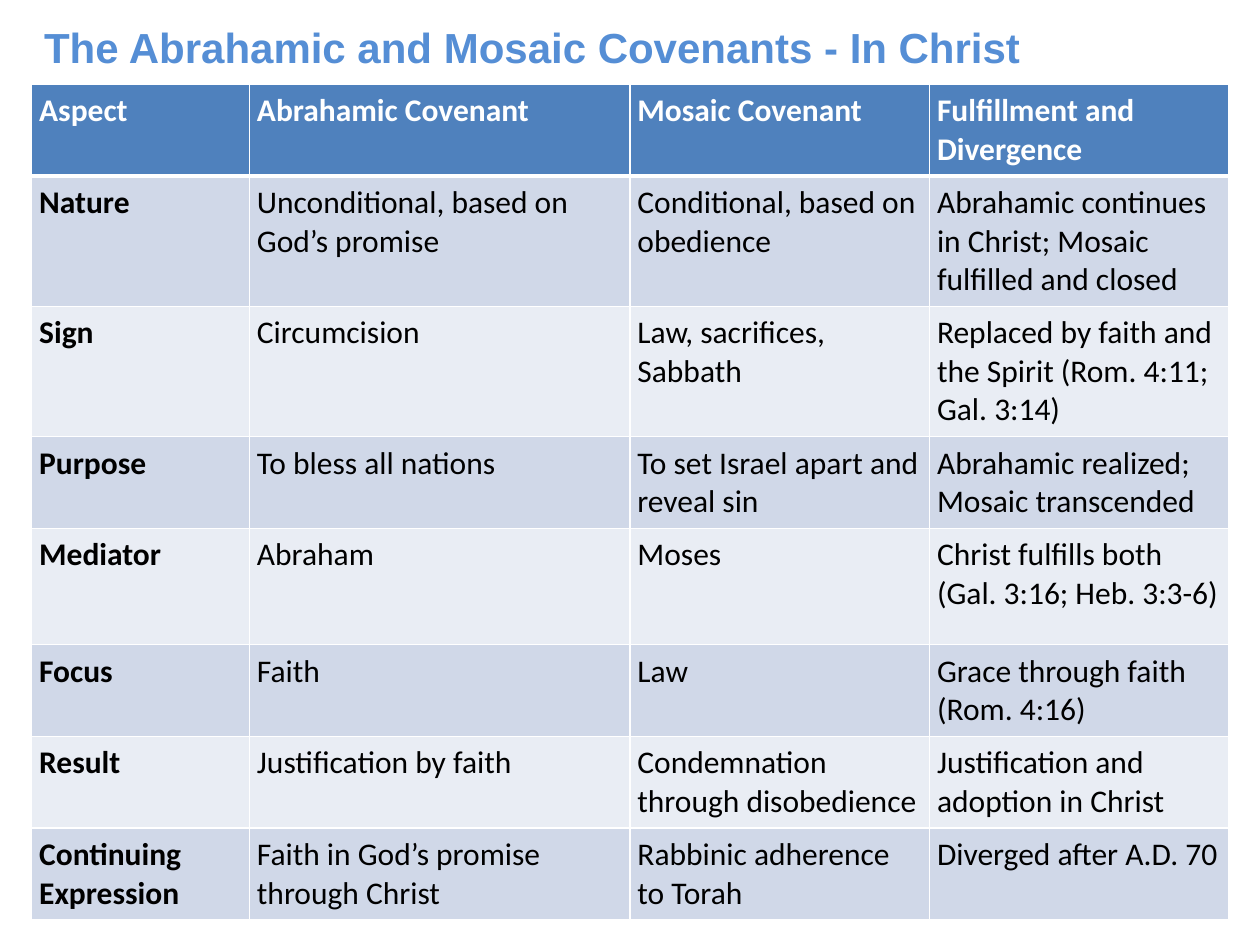
from lxml.etree import SubElement
from pptx import Presentation
from pptx.dml.color import RGBColor
from pptx.enum.text import MSO_ANCHOR as Anchor
from pptx.oxml.ns import qn
from pptx.util import Cm, Pt

TITLE = "The Abrahamic and Mosaic Covenants - In Christ"
ROWS = [
    ("Aspect", "Abrahamic Covenant", "Mosaic Covenant", "Fulfillment and Divergence"),
    ("Nature", "Unconditional, based on God’s promise", "Conditional, based on obedience",
     "Abrahamic continues in Christ; Mosaic fulfilled and closed"),
    ("Sign", "Circumcision", "Law, sacrifices, Sabbath",
     "Replaced by faith and the Spirit (Rom. 4:11; Gal. 3:14)"),
    ("Purpose", "To bless all nations", "To set Israel apart and reveal sin",
     "Abrahamic realized; Mosaic transcended"),
    ("Mediator", "Abraham", "Moses", "Christ fulfills both (Gal. 3:16; Heb. 3:3-6)"),
    ("Focus", "Faith", "Law", "Grace through faith (Rom. 4:16)"),
    ("Result", "Justification by faith", "Condemnation through disobedience",
     "Justification and adoption in Christ"),
    ("Continuing Expression", "Faith in God’s promise through Christ",
     "Rabbinic adherence to Torah", "Diverged after A.D. 70"),
]
COL_WIDTHS = [4.39, 7.67, 6.04, 6.04]
ROW_HEIGHTS = [1.65, 2.34, 2.34, 1.65, 2.34, 1.65, 1.7, 1.65]


def rgb(code):
    return RGBColor.from_string(code)


def put_text(tf, text, font="Calibri", size=18, color="000000", bold=False):
    r = tf.paragraphs[0].add_run()
    r.text = text
    r.font.name, r.font.size, r.font.bold = font, Pt(size), bold
    r.font.color.rgb = rgb(color)


def set_borders(cell, color, bottom):
    """Draw 1 pt borders, with the bottom one as wide as given."""
    tc_pr = cell._tc.get_or_add_tcPr()
    for i, (side, width) in enumerate(zip("LRTB", (1, 1, 1, bottom))):
        ln = SubElement(tc_pr, qn(f"a:ln{side}"), w=str(Pt(width)))
        fill = SubElement(ln, qn("a:solidFill"))
        SubElement(fill, qn("a:srgbClr"), val=color)
        tc_pr.insert(i, ln)  # borders come before the cell fill


class CovenantSlide:
    header = "4F81BD"
    bands = ("E9EDF4", "D0D8E8")
    white = "FFFFFF"
    accent = "558ED5"
    inset = Cm(0.15)

    def __init__(self, prs):
        self.s = prs.slides.add_slide(prs.slide_layouts[6])

    def title(self, text, x, y, w, h):
        tf = self.s.shapes.add_textbox(Cm(x), Cm(y), Cm(w), Cm(h)).text_frame
        tf.word_wrap = True
        tf.vertical_anchor = Anchor.MIDDLE
        put_text(tf, text, font="Arial", size=24, color=self.accent, bold=True)

    def table(self, rows, x, y, widths, heights):
        frame = self.s.shapes.add_table(len(rows), len(widths), Cm(x), Cm(y),
                                        Cm(sum(widths)), Cm(sum(heights)))
        table = frame.table
        for col, width in zip(table.columns, widths):
            col.width = Cm(width)
        for row, height in zip(table.rows, heights):
            row.height = Cm(height)
        for i, texts in enumerate(rows):
            for j, text in enumerate(texts):
                self.cell(table.cell(i, j), text, i, j)

    def cell(self, cell, text, i, j):
        is_header = i == 0
        cell.margin_left = cell.margin_right = self.inset
        cell.margin_top = cell.margin_bottom = self.inset
        cell.fill.solid()
        cell.fill.fore_color.rgb = rgb(self.header if is_header else self.bands[i % 2])
        set_borders(cell, self.white, bottom=3 if is_header else 1)
        put_text(cell.text_frame, text, bold=is_header or j == 0,
                 color=self.white if is_header else "000000")


def main():
    prs = Presentation()
    prs.slide_width, prs.slide_height = Cm(25.4), Cm(19.05)
    slide = CovenantSlide(prs)
    slide.table(ROWS, 0.64, 1.7, COL_WIDTHS, ROW_HEIGHTS)
    slide.title(TITLE, 0.64, 0.2, 23.3, 1.48)
    prs.save("out.pptx")


if __name__ == "__main__":
    main()
